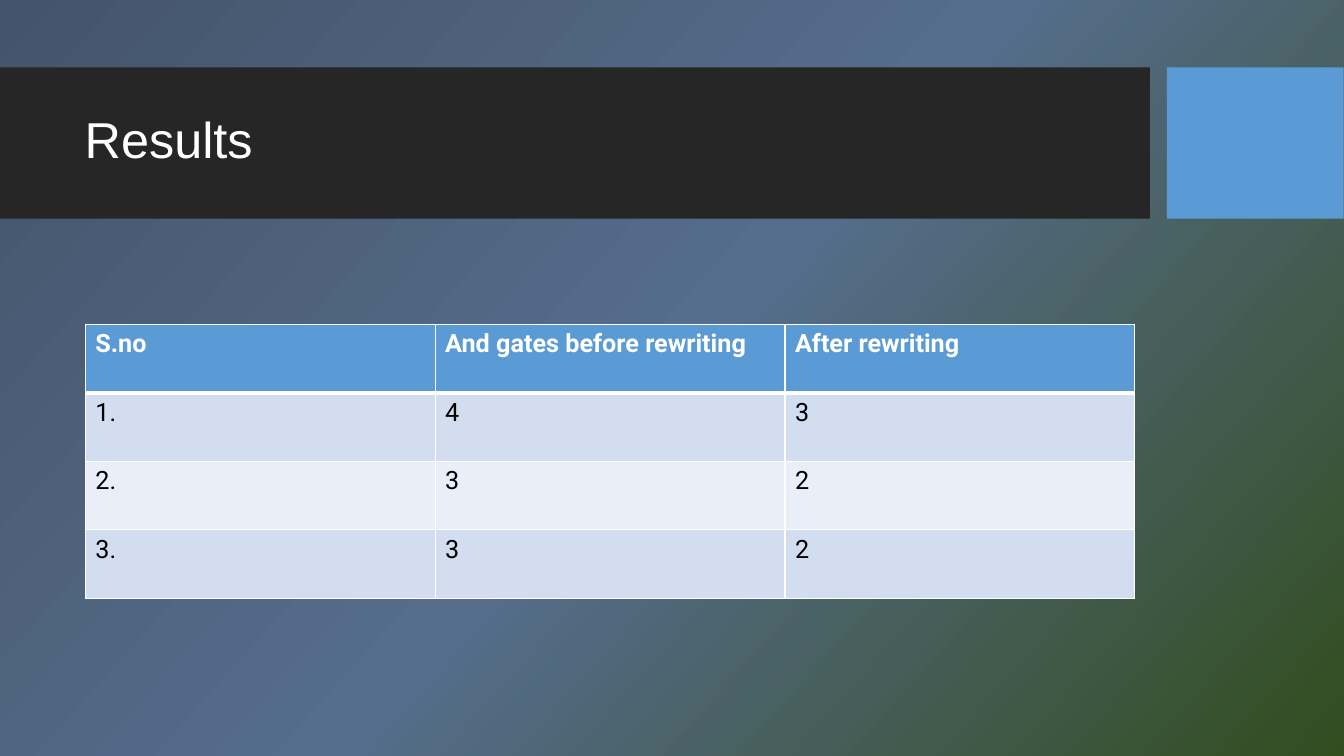
from copy import deepcopy
from dataclasses import dataclass

from lxml import etree
from pptx import Presentation
from pptx.dml.color import RGBColor
from pptx.enum import shapes, text
from pptx.oxml.ns import qn
from pptx.util import Cm, Pt

TITLE = "Results"
ROWS = [
    ("S.no", "And gates before rewriting", "After rewriting"),
    ("1.", "4", "3"),
    ("2.", "3", "2"),
    ("3.", "3", "2"),
]


@dataclass(frozen=True)
class Theme:
    back: tuple = ((0, "44546A"), (0.5, "566D8C"), (1, "324D1E"))
    angle: int = 42
    band: str = "262626"
    blue: str = "5B9BD5"
    stripes: tuple = ("D2DEEF", "EAEFF7")
    white: str = "FFFFFF"
    black: str = "000000"
    head: str = "Arial"
    body: str = "Roboto"
    big: int = 36
    small: int = 18
    thin: int = 1
    thick: int = 3


T = Theme()
WIDE, HIGH = Cm(33.87), Cm(19.05)
BAND_TOP, BAND_H = Cm(1.7), Cm(3.81)
BANDS = [(Cm(0), Cm(28.98), T.band), (Cm(29.41), Cm(4.45), T.blue)]
TITLE_BOX = Cm(1.88), Cm(2.08), Cm(26.7), Cm(3)
GRID_BOX = Cm(2.15), Cm(8.17), Cm(26.45), Cm(6.91)


def rgb(code):
    return RGBColor.from_string(code)


def write(frame, words, font, size, color, bold=False, lead=None):
    para = frame.paragraphs[0]
    para.alignment = text.PP_ALIGN.LEFT
    para.line_spacing = lead
    run = para.add_run()
    run.text = words
    run.font.name, run.font.size = font, Pt(size)
    run.font.bold, run.font.color.rgb = bold, rgb(color)


def paint_back(slide):
    fill = slide.background.fill
    fill.gradient()
    fill.gradient_angle = 360 - T.angle
    stops = slide.element.find(".//" + qn("a:gsLst"))
    stops.insert(1, deepcopy(stops[0]))
    for stop, (place, color) in zip(fill.gradient_stops, T.back):
        stop.position, stop.color.rgb = place, rgb(color)


def add_band(slide, left, width, color):
    band = slide.shapes.add_shape(
        shapes.MSO_SHAPE.RECTANGLE, left, BAND_TOP, width, BAND_H)
    band.shadow.inherit = False
    band.fill.solid()
    band.fill.fore_color.rgb = rgb(color)
    band.line.fill.background()


def add_title(slide):
    title = slide.shapes.title
    title.left, title.top, title.width, title.height = TITLE_BOX
    title.text_frame.vertical_anchor = text.MSO_ANCHOR.MIDDLE
    write(title.text_frame, TITLE, T.head, T.big, T.white, lead=0.9)
    slide.shapes.element.append(title.element)  # in front of the bands


def edge(cell, widths):
    """Put white borders before the cell's fill, as the schema orders them."""
    props = cell._tc.get_or_add_tcPr()
    for spot, (side, width) in enumerate(widths.items()):
        line = etree.Element(qn("a:" + side), w=str(Pt(width)))
        solid = etree.SubElement(line, qn("a:solidFill"))
        etree.SubElement(solid, qn("a:srgbClr"), val=T.white)
        props.insert(spot, line)


def add_grid(slide):
    left, top, width, height = GRID_BOX
    grid = slide.shapes.add_table(
        len(ROWS), len(ROWS[0]), left, top, width, height).table
    for r, row in enumerate(ROWS):
        first = r == 0
        fill = T.blue if first else T.stripes[(r - 1) % 2]
        widths = dict.fromkeys(("lnL", "lnR", "lnT", "lnB"), T.thin)
        if first:
            widths["lnB"] = T.thick
        elif r == 1:
            widths["lnT"] = T.thick
        for c, words in enumerate(row):
            cell = grid.cell(r, c)
            cell.fill.solid()
            cell.fill.fore_color.rgb = rgb(fill)
            edge(cell, widths)
            write(cell.text_frame, words, T.body, T.small,
                  T.white if first else T.black, bold=first)


def main():
    deck = Presentation()
    deck.slide_width, deck.slide_height = WIDE, HIGH
    slide = deck.slides.add_slide(deck.slide_layouts.get_by_name("Title Only"))
    paint_back(slide)
    for band in BANDS:
        add_band(slide, *band)
    add_title(slide)
    add_grid(slide)
    deck.save("out.pptx")


if __name__ == "__main__":
    main()
